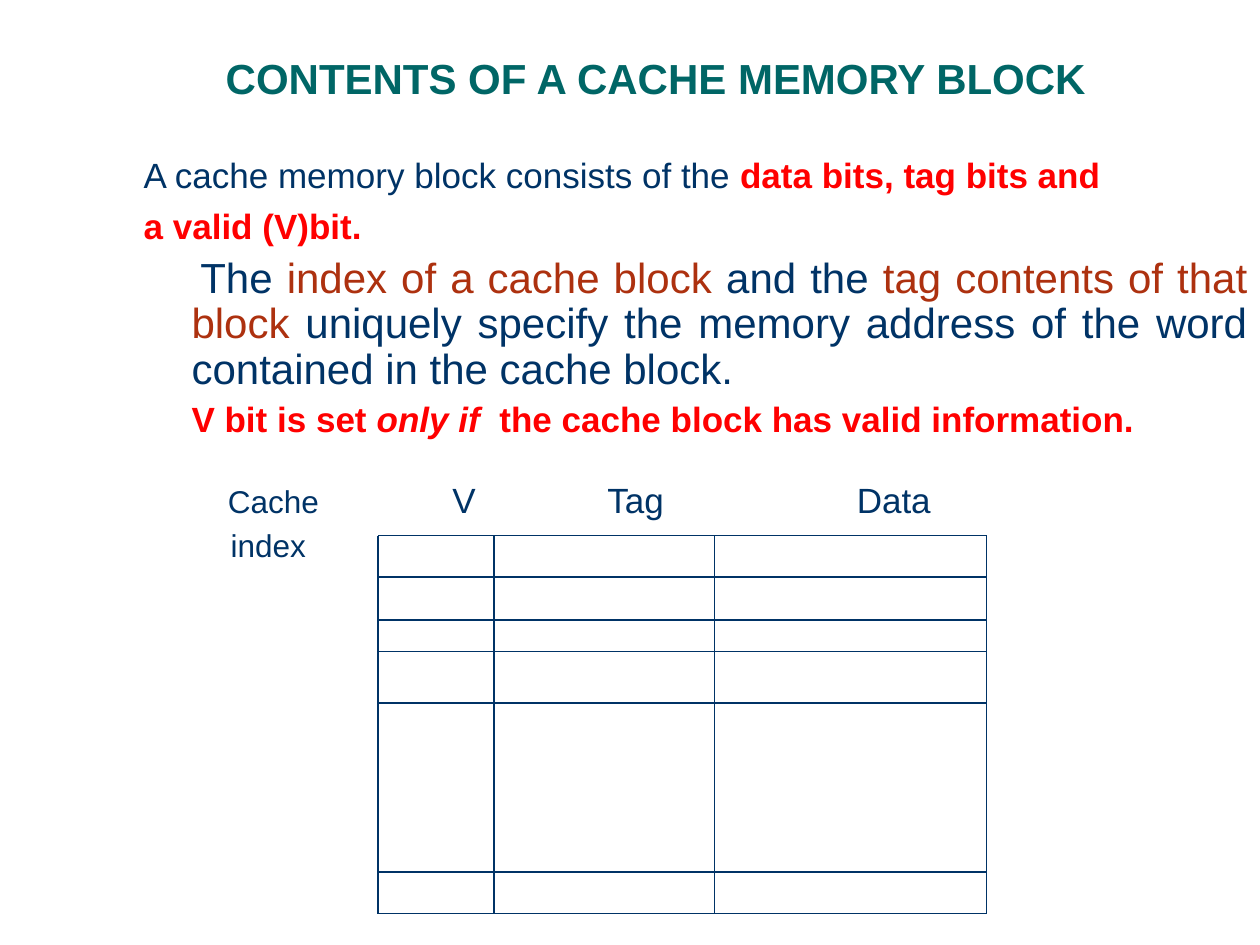
from pptx import Presentation
from pptx.dml.color import RGBColor
from pptx.enum.shapes import MSO_CONNECTOR
from pptx.enum.text import MSO_ANCHOR, MSO_AUTO_SIZE, PP_ALIGN
from pptx.oxml.ns import qn
from pptx.util import Inches, Pt
from lxml.etree import SubElement

# Content
COLORS = {"title": "006666", "text": "003366", "key": "FF0000", "term": "AD310F"}
FONT = "Arial"

TITLE = "CONTENTS OF A CACHE MEMORY BLOCK"
KEY = {"color": "key", "bold": True}
TERM = {"size": 24, "color": "term"}
LARGE = {"size": 24}
JUSTIFIED = {"align": PP_ALIGN.JUSTIFY, "line": 0.9, "margin": 0.38}

# Each paragraph: its format, then its runs
BODY = [
    ({"before": 5}, [("A cache memory block consists of the ", {}),
                     ("data bits, tag bits and", KEY)]),
    ({"before": 5}, [("a valid (V)bit.", KEY)]),
    ({"before": 6, "indent": 0.07, **JUSTIFIED}, [
        ("The ", LARGE),
        ("index of a cache block", TERM),
        (" and the ", LARGE),
        ("tag contents of that block", TERM),
        (" uniquely specify the memory address of the word "
         "contained in the cache block.", LARGE)]),
    ({"before": 5, **JUSTIFIED}, [
        ("V bit is set ", KEY),
        ("only if ", {"italic": True, **KEY}),
        (" the cache block has valid information.", KEY)]),
]

# Label, left, baseline, size
LABELS = [
    ("Cache", 1.81, 4.06, 18),
    ("index", 1.83, 4.41, 18),
    ("V", 3.59, 4.06, 20),
    ("Tag", 4.82, 4.06, 20),
    ("Data", 6.8, 4.06, 20),
]

# Grid edges of the cache block diagram
COLUMNS = [3, 3.92, 5.67, 7.83]
ROWS = [4.25, 4.58, 4.92, 5.17, 5.58, 6.92, 7.25]


def add_text(p, text, size=20, color="text", bold=False, italic=False):
    r = p.add_run()
    r.text = text
    r.font.name, r.font.size = FONT, Pt(size)
    r.font.bold, r.font.italic = bold, italic
    r.font.color.rgb = RGBColor.from_string(COLORS[color])


def format_paragraph(p, before=0, align=PP_ALIGN.LEFT, line=1.0, margin=0, indent=0):
    p.alignment, p.line_spacing, p.space_before = align, line, Pt(before)
    pPr = p._p.get_or_add_pPr()
    pPr.set("marL", str(Inches(margin)))
    pPr.set("indent", str(Inches(indent)))
    SubElement(pPr, qn("a:buNone"))


def place(sp, left, top, width, height):
    sp.left, sp.top = Inches(left), Inches(top)
    sp.width, sp.height = Inches(width), Inches(height)


def add_line(s, x1, y1, x2, y2):
    ln = s.shapes.add_connector(MSO_CONNECTOR.STRAIGHT, Inches(x1), Inches(y1),
                                Inches(x2), Inches(y2))
    ln.line.color.rgb = RGBColor.from_string(COLORS["text"])
    ln.line.width = Pt(0.75)
    SubElement(ln._element.spPr, qn("a:effectLst"))


prs = Presentation()
prs.slide_width, prs.slide_height = Inches(10), Inches(7.5)
s = prs.slides.add_slide(prs.slide_layouts[1])

# Title
title = s.shapes.title
place(title, 0.83, 0.12, 8.75, 0.75)
tf = title.text_frame
tf.auto_size, tf.vertical_anchor = MSO_AUTO_SIZE.NONE, MSO_ANCHOR.BOTTOM
p = tf.paragraphs[0]
p.alignment, p.line_spacing = PP_ALIGN.CENTER, 0.9
add_text(p, TITLE, size=24, color="title", bold=True)

# Body text
body = s.placeholders[1]
place(body, 1.04, 1.17, 8.96, 2.5)
tf = body.text_frame
tf.auto_size = MSO_AUTO_SIZE.NONE
for i, (layout, runs) in enumerate(BODY):
    p = tf.add_paragraph() if i else tf.paragraphs[0]
    format_paragraph(p, **layout)
    for text, style in runs:
        add_text(p, text, **style)

# Diagram labels, set on their baselines
for text, left, baseline, size in LABELS:
    ascent = 0.95 * size / 72
    box = s.shapes.add_textbox(Inches(left), Inches(baseline - ascent),
                               Inches(1), Inches(0.35))
    tf = box.text_frame
    tf.word_wrap = True
    tf.margin_left = tf.margin_right = tf.margin_top = tf.margin_bottom = 0
    add_text(tf.paragraphs[0], text, size=size)

# Diagram grid
for x in COLUMNS:
    add_line(s, x, ROWS[0], x, ROWS[-1])
for y in ROWS:
    add_line(s, COLUMNS[0], y, COLUMNS[-1], y)

prs.save("out.pptx")
